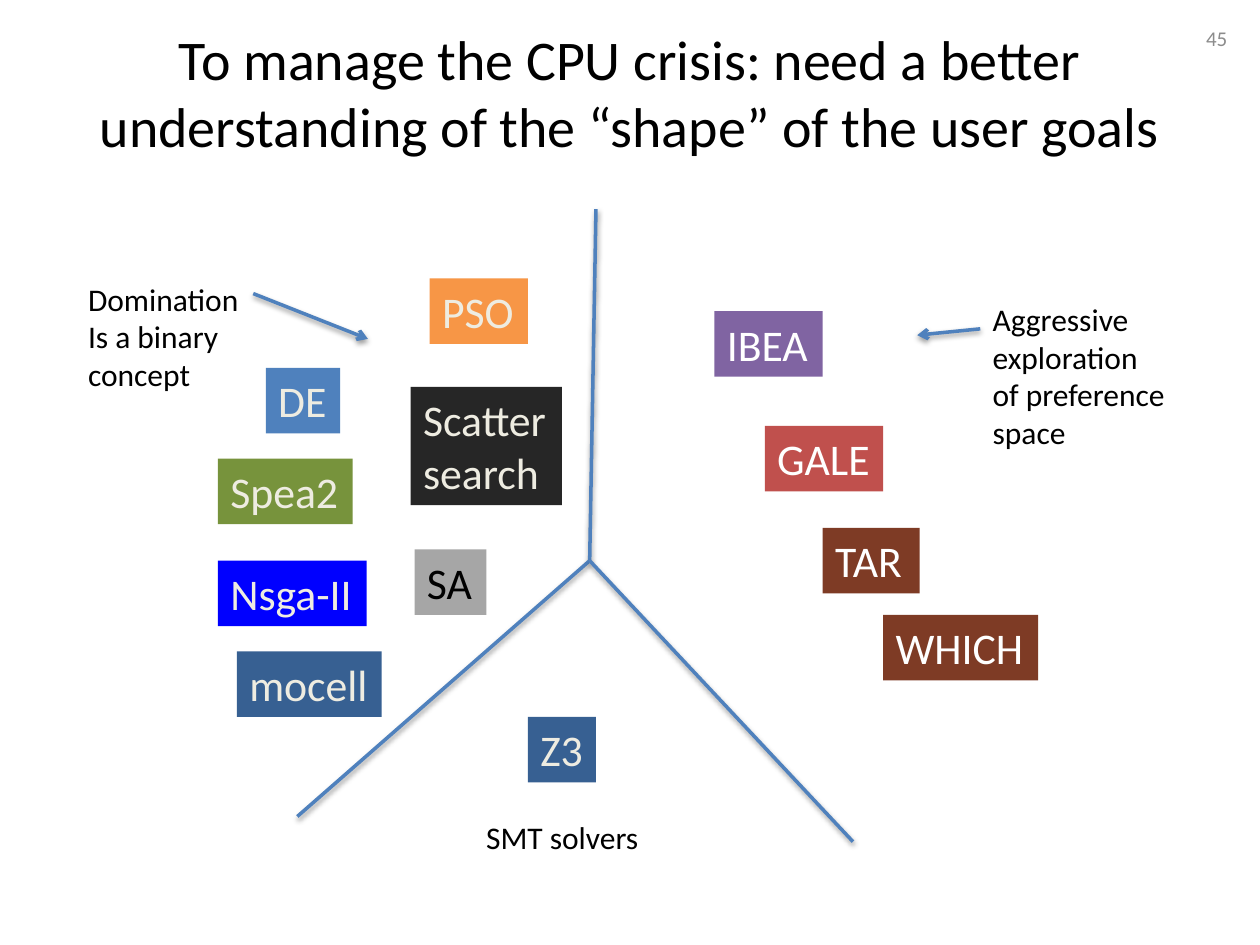
from dataclasses import dataclass

from lxml import etree
from pptx import Presentation
from pptx.dml.color import RGBColor
from pptx.enum.shapes import MSO_CONNECTOR, MSO_SHAPE
from pptx.enum.text import MSO_ANCHOR, MSO_AUTO_SIZE, PP_ALIGN
from pptx.oxml import parse_xml
from pptx.oxml.ns import nsdecls, qn
from pptx.util import Inches, Pt


@dataclass(frozen=True)
class Theme:
    font: str = "Calibri"
    title_size: int = 32
    label_size: int = 25
    note_size: int = 18
    number_size: int = 12
    line_width: int = 2
    black: str = "000000"
    white: str = "FFFFFF"
    cream: str = "EEECE1"
    grey: str = "8C8C8C"
    line: str = "4F81BD"
    blue: str = "4F81BD"
    navy: str = "376092"
    bright_blue: str = "0000FF"
    green: str = "77933C"
    charcoal: str = "262626"
    orange: str = "F79646"
    silver: str = "A6A6A6"
    purple: str = "8064A2"
    red: str = "C0504D"
    brown: str = "7E3B25"


SHADOW = (
    f'<a:effectLst {nsdecls("a")}>'
    '<a:outerShdw blurRad="39370" dist="20320" dir="5400000" rotWithShape="0">'
    '<a:srgbClr val="000000"><a:alpha val="38000"/></a:srgbClr>'
    '</a:outerShdw></a:effectLst>'
)


class SlideBuilder:
    def __init__(self, slide, theme):
        self.s = slide
        self.t = theme

    def set_text(self, sp, text, size, color, align=PP_ALIGN.LEFT,
                 anchor=MSO_ANCHOR.TOP, wrap=False):
        """Fill a shape with one paragraph per line of text."""
        tf = sp.text_frame
        tf.word_wrap = wrap
        tf.auto_size = MSO_AUTO_SIZE.NONE if wrap else MSO_AUTO_SIZE.SHAPE_TO_FIT_TEXT
        tf.vertical_anchor = anchor
        tf.text = text
        for p in tf.paragraphs:
            p.alignment = align
            p.font.name = self.t.font
            p.font.size = Pt(size)
            p.font.color.rgb = RGBColor.from_string(color)

    def text(self, box, text, size, color, **layout):
        sp = self.s.shapes.add_textbox(*map(Inches, box))
        self.set_text(sp, text, size, color, **layout)

    def label(self, box, text, fill, color):
        sp = self.s.shapes.add_shape(MSO_SHAPE.RECTANGLE, *map(Inches, box))
        sp.shadow.inherit = False
        sp.fill.solid()
        sp.fill.fore_color.rgb = RGBColor.from_string(fill)
        sp.line.fill.background()
        self.set_text(sp, text, self.t.label_size, color)

    def line(self, start, end, arrow=False):
        cx = self.s.shapes.add_connector(
            MSO_CONNECTOR.STRAIGHT, *map(Inches, (*start, *end)))
        cx.line.color.rgb = RGBColor.from_string(self.t.line)
        cx.line.width = Pt(self.t.line_width)
        if arrow:
            ln = cx.line._get_or_add_ln()
            etree.SubElement(ln, qn("a:tailEnd"), type="arrow")
        cx._element.spPr.append(parse_xml(SHADOW))


def main():
    prs = Presentation()
    prs.slide_width, prs.slide_height = Inches(10), Inches(7.5)
    t = Theme()
    b = SlideBuilder(prs.slides.add_slide(prs.slide_layouts[6]), t)

    b.text((0.5, 0.1, 9, 1.25),
           "To manage the CPU crisis: need a better understanding "
           "of the “shape” of the user goals",
           t.title_size, t.black, align=PP_ALIGN.CENTER,
           anchor=MSO_ANCHOR.MIDDLE, wrap=True)
    b.text((7.51, 0.1, 2.33, 0.4), "45", t.number_size, t.grey,
           align=PP_ALIGN.RIGHT, anchor=MSO_ANCHOR.MIDDLE, wrap=True)

    hub = (4.68, 4.45)
    for end in ((4.73, 1.66), (2.36, 6.48), (6.77, 6.68)):
        b.line(hub, end)

    row = 0.52
    solvers = [
        (1.73, 3.64, 1.07, row, "Spea2", t.green, t.cream),
        (1.73, 4.45, 1.18, row, "Nsga-II", t.bright_blue, t.cream),
        (2.11, 2.92, 0.59, row, "DE", t.blue, t.cream),
        (3.26, 3.07, 1.2, 0.94, "Scatter\nsearch", t.charcoal, t.cream),
        (3.41, 2.21, 0.78, row, "PSO", t.orange, t.cream),
        (3.29, 4.36, 0.57, row, "SA", t.silver, t.black),
        (1.88, 5.17, 1.15, row, "mocell", t.navy, t.cream),
        (4.19, 5.69, 0.54, row, "Z3", t.navy, t.cream),
        (5.67, 2.47, 0.86, row, "IBEA", t.purple, t.white),
        (6.07, 3.38, 0.94, row, "GALE", t.red, t.white),
        (6.53, 4.19, 0.77, row, "TAR", t.brown, t.white),
        (7.01, 4.88, 1.23, row, "WHICH", t.brown, t.white),
    ]
    for *box, name, fill, color in solvers:
        b.label(box, name, fill, color)

    notes = [
        (3.76, 6.44, 1.44, 0.4, "SMT solvers"),
        (0.6, 2.17, 1.41, 1.01, "Domination\nIs a binary\nconcept"),
        (7.78, 2.33, 1.6, 1.31, "Aggressive\nexploration\nof preference\nspace"),
    ]
    for *box, note in notes:
        b.text(box, note, t.note_size, t.black)

    b.line((2.01, 2.33), (2.92, 2.69), arrow=True)
    b.line((7.78, 2.61), (7.28, 2.66), arrow=True)

    prs.save("out.pptx")


if __name__ == "__main__":
    main()
